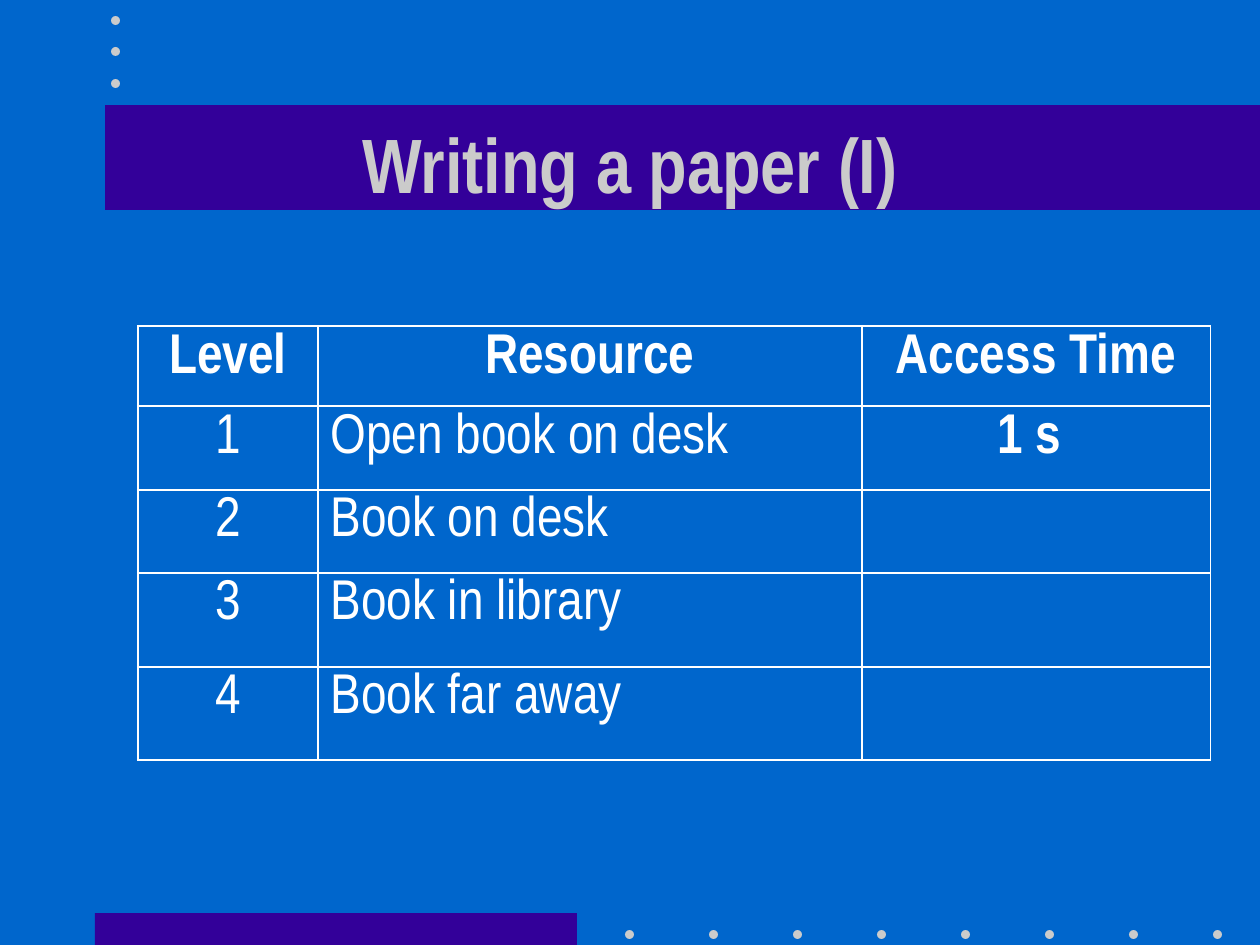
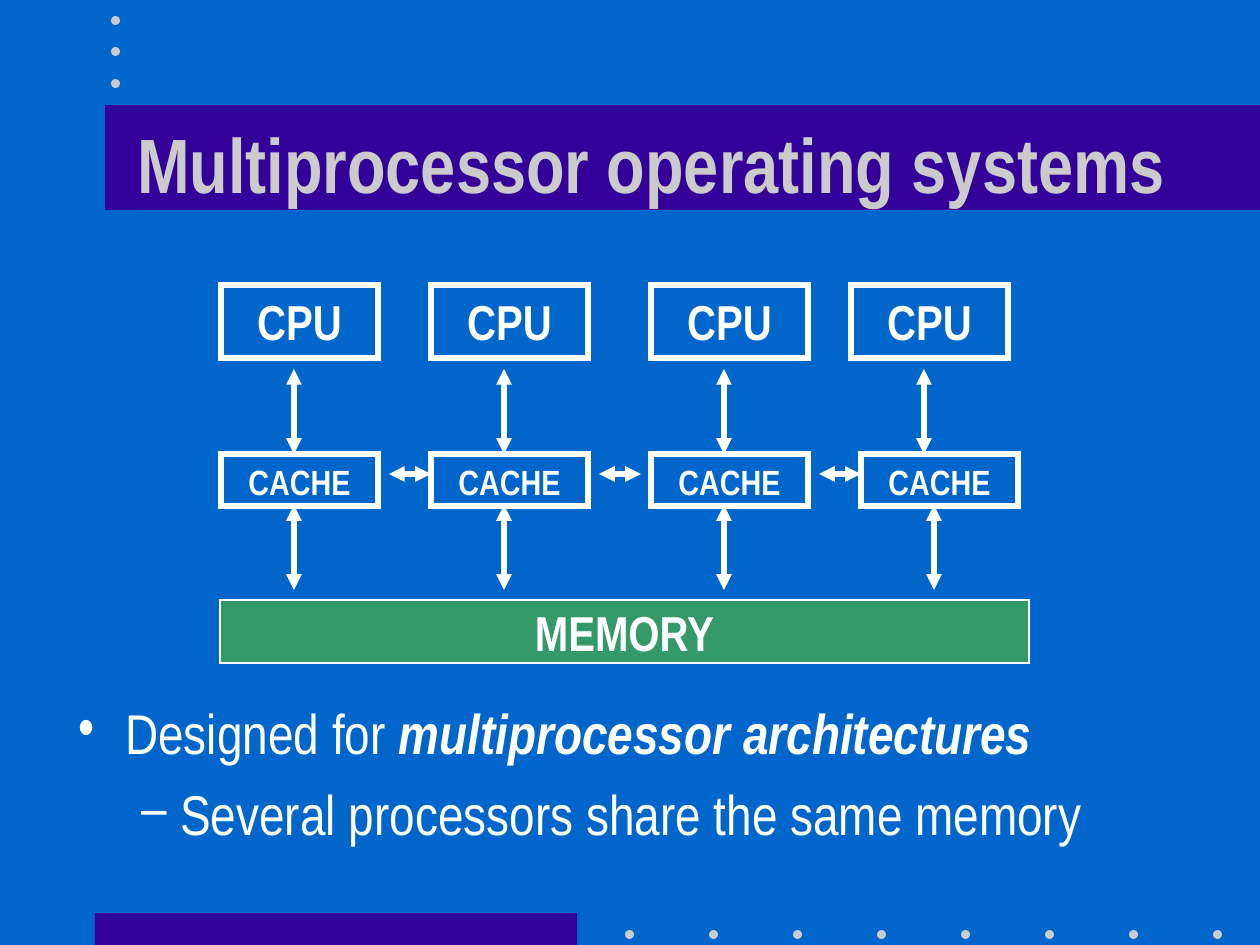
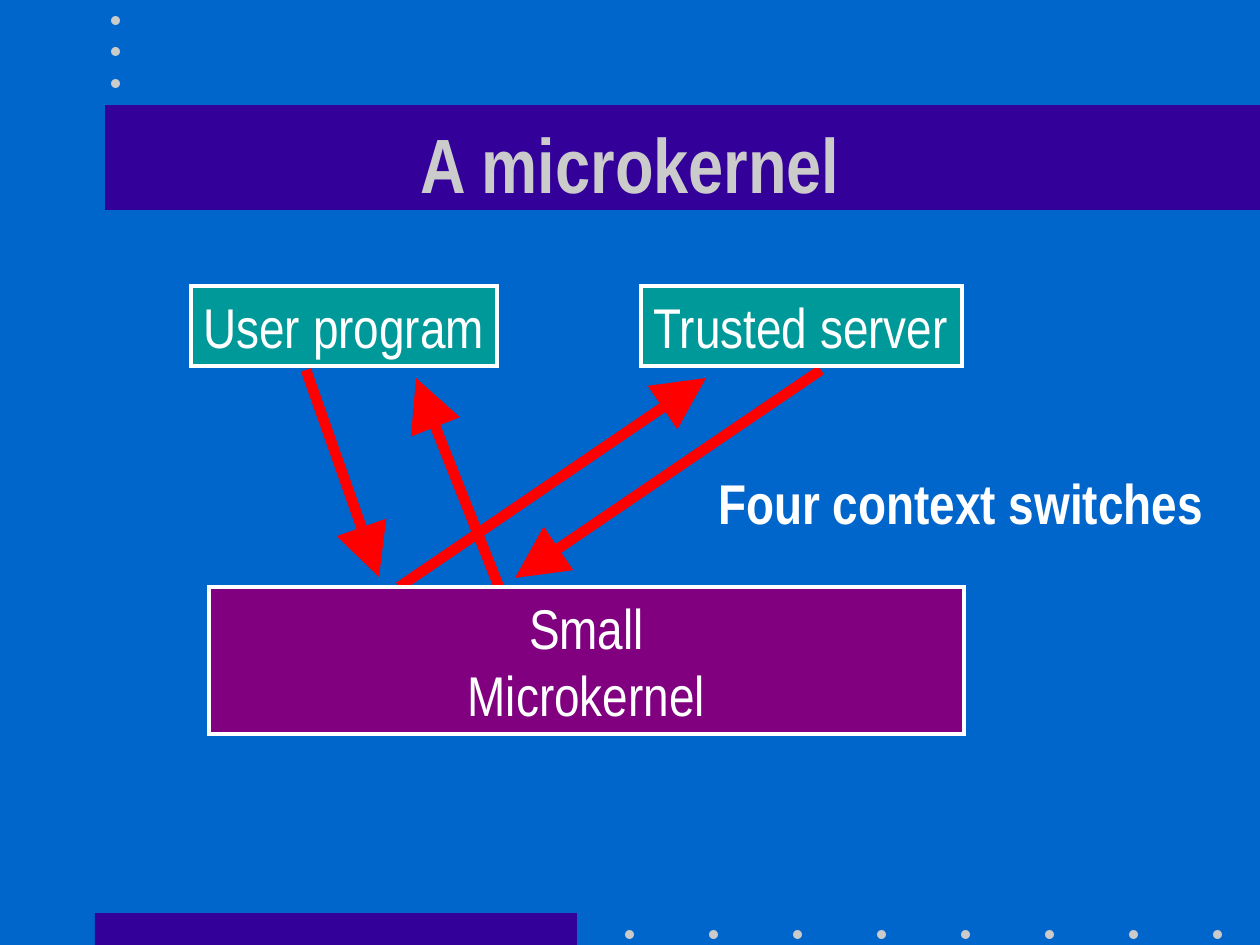
from dataclasses import dataclass
from lxml.etree import SubElement
from pptx import Presentation
from pptx.dml.color import RGBColor
from pptx.enum.shapes import MSO_CONNECTOR as Connector, MSO_SHAPE as Shape
from pptx.enum.text import MSO_ANCHOR as Anchor, PP_ALIGN as Align
from pptx.oxml.ns import qn
from pptx.util import Emu, Pt

PX_PER_INCH = 126


@dataclass(frozen=True)
class Theme:
    font: str = "Arial Narrow"
    background: str = "0066CC"
    band: str = "330099"
    soft: str = "CBCBCB"
    white: str = "FFFFFF"
    memory: str = "339966"
    process: str = "009999"
    kernel: str = "800080"
    switch: str = "FF0000"
    title_size: int = 44
    text_size: int = 32
    part_size: int = 28
    cache_size: int = 20


THEME = Theme()

# Content: Writing a paper
ACCESS_ROWS = [
    ("Level", "Resource", "Access Time"),
    ("1", "Open book on desk", "1 s "),
    ("2", "Book on desk", ""),
    ("3", "Book in library", ""),
    ("4", "Book far away", ""),
]
COLUMN_WIDTHS = (180, 544, 348)
ROW_HEIGHTS = (80, 84, 83, 94, 93)

# Content: Multiprocessor operating systems
CPU_LEFTS = (221, 431, 651, 851)
CACHE_LEFTS = (221, 431, 651, 861)
# Each bullet: sign, left margin, hanging indent, runs of (text, emphasis)
BULLETS = [
    ("•", 47, 47, [("Designed for", False), (" multiprocessor architectures", True)]),
    ("–", 102, 39, [("Several processors share the same memory", False)]),
]

# Content: A microkernel
SWITCHES = [
    ((399, 587), (706, 378)),
    ((306, 370), (379, 577)),
    ((499, 587), (416, 378)),
    ((821, 370), (515, 578)),
]
MODULES = [
    (["User program"], (191, 286, 306, 80), THEME.process, Align.LEFT),
    (["Small", "Microkernel"], (209, 587, 755, 147), THEME.kernel, Align.CENTER),
    (["Trusted server"], (641, 286, 321, 80), THEME.process, Align.LEFT),
]


def px(length):
    return Emu(round(length * 914400 / PX_PER_INCH))


def rgb(color):
    return RGBColor.from_string(color)


# Shared building blocks
def add_span(para, text, size, color=THEME.white, bold=False, italic=False):
    span = para.add_run()
    span.text = text
    font = span.font
    font.name, font.size = THEME.font, Pt(size)
    font.bold, font.italic = bold, italic
    font.color.rgb = rgb(color)


def write_lines(frame, lines, size, align=Align.CENTER, **style):
    for index, line in enumerate(lines):
        para = frame.add_paragraph() if index else frame.paragraphs[0]
        para.alignment = align
        add_span(para, line, size, **style)


def add_text_box(slide, place, anchor=Anchor.TOP):
    frame = slide.shapes.add_textbox(*map(px, place)).text_frame
    frame.word_wrap = True
    frame.vertical_anchor = anchor
    return frame


def add_box(slide, place, fill=None, line_width=0, kind=Shape.RECTANGLE):
    box = slide.shapes.add_shape(kind, *map(px, place))
    box.shadow.inherit = False
    if fill:
        box.fill.solid()
        box.fill.fore_color.rgb = rgb(fill)
    else:
        box.fill.background()
    if line_width:
        box.line.color.rgb = rgb(THEME.white)
        box.line.width = Pt(line_width)
        SubElement(box.line._get_or_add_ln(), qn("a:miter"), lim="800000")
    else:
        box.line.fill.background()
    box.text_frame.vertical_anchor = Anchor.TOP
    return box


def add_arrow(slide, start, end, color=THEME.white, width=3,
              ends=("headEnd", "tailEnd"), head_size="med"):
    arrow = slide.shapes.add_connector(Connector.STRAIGHT, *map(px, start + end))
    arrow.line.color.rgb = rgb(color)
    arrow.line.width = Pt(width)
    for end_name in ends:
        SubElement(arrow.line._get_or_add_ln(), qn(f"a:{end_name}"),
                   type="triangle", w=head_size, len=head_size)
    SubElement(arrow._element.spPr, qn("a:effectLst"))


def add_page(deck, title, title_width=1071):
    page = deck.slides.add_slide(deck.slide_layouts[6])
    page.background.fill.solid()
    page.background.fill.fore_color.rgb = rgb(THEME.background)
    # Bands and dots
    for band in ((95, 913, 482, 32), (105, 105, 1155, 105)):
        add_box(page, band, THEME.band)
    footer_dots = [(625 + 84 * step, 930) for step in range(8)]
    corner_dots = [(111, 16 + 63 * step // 2) for step in range(3)]
    for left, top in footer_dots + corner_dots:
        add_box(page, (left, top, 9, 9), THEME.soft, kind=Shape.OVAL)
    # Title
    frame = add_text_box(page, (95, 84, title_width, 158), Anchor.MIDDLE)
    write_lines(frame, [title], THEME.title_size, color=THEME.soft, bold=True)
    return page


# Writing a paper
def set_borders(cell, is_last_column):
    properties = cell._tc.get_or_add_tcPr()
    for side in ("lnL", "lnR", "lnT", "lnB"):
        width = 0.45 if side == "lnR" and is_last_column else 1.47
        border = SubElement(properties, qn(f"a:{side}"), w=str(Pt(width)))
        fill = SubElement(border, qn("a:solidFill"))
        SubElement(fill, qn("a:srgbClr"), val=THEME.white)


def build_access_table(deck):
    page = add_page(deck, "Writing a paper (I)")
    place = (138, 326, sum(COLUMN_WIDTHS), sum(ROW_HEIGHTS))
    table = page.shapes.add_table(len(ROW_HEIGHTS), len(COLUMN_WIDTHS), *map(px, place)).table
    table.first_row = table.horz_banding = False
    for column, width in zip(table.columns, COLUMN_WIDTHS):
        column.width = px(width)
    for row, height in zip(table.rows, ROW_HEIGHTS):
        row.height = px(height)
    for row_index, values in enumerate(ACCESS_ROWS):
        for column_index, value in enumerate(values):
            cell = table.cell(row_index, column_index)
            set_borders(cell, column_index == len(COLUMN_WIDTHS) - 1)
            cell.fill.background()
            if value:
                is_header = row_index == 0
                is_resource = column_index == 1 and not is_header
                write_lines(cell.text_frame, [value], THEME.text_size,
                            Align.LEFT if is_resource else Align.CENTER,
                            bold=is_header or column_index == 2)


# Multiprocessor operating systems
def build_multiprocessor(deck):
    page = add_page(deck, "Multiprocessor operating systems ", 1131)
    rows = [
        ("CPU", CPU_LEFTS, 285, 73, THEME.part_size, 369, 454),
        ("CACHE", CACHE_LEFTS, 454, 52, THEME.cache_size, 505, 590),
    ]
    for label, lefts, top, height, size, arrow_top, arrow_bottom in rows:
        for left in lefts:
            box = add_box(page, (left, top, 157, height), line_width=3)
            write_lines(box.text_frame, [label], size, bold=True)
            add_arrow(page, (left + 73, arrow_top), (left + 73, arrow_bottom))
    for left in CACHE_LEFTS[:-1]:
        add_arrow(page, (left + 168, 474), (left + 210, 474))

    memory = add_box(page, (220, 600, 809, 63), THEME.memory, 1)
    memory.text_frame.vertical_anchor = Anchor.MIDDLE
    write_lines(memory.text_frame, ["MEMORY"], THEME.part_size, bold=True)

    # Bullets
    frame = add_text_box(page, (66, 692, 1071, 188))
    for index, (sign, margin, hanging, spans) in enumerate(BULLETS):
        para = frame.add_paragraph() if index else frame.paragraphs[0]
        para.level = index
        if index:
            para.space_before = Pt(8)
        properties = para._p.get_or_add_pPr()
        properties.set("marL", str(px(margin)))
        properties.set("indent", str(px(-hanging)))
        color = SubElement(properties, qn("a:buClr"))
        SubElement(color, qn("a:srgbClr"), val=THEME.white)
        SubElement(properties, qn("a:buFont"), typeface=THEME.font)
        SubElement(properties, qn("a:buChar"), char=sign)
        for text, emphasis in spans:
            add_span(para, text, THEME.text_size, bold=emphasis, italic=emphasis)


# A microkernel
def build_microkernel(deck):
    page = add_page(deck, "A microkernel")
    for start, end in SWITCHES:
        add_arrow(page, start, end, THEME.switch, 6, ("tailEnd",), "lg")
    for lines, place, fill, align in MODULES:
        box = add_box(page, place, fill, 2.5)
        box.text_frame.word_wrap = len(lines) > 1
        write_lines(box.text_frame, lines, THEME.text_size, align)
    caption = add_text_box(page, (706, 462, 530, 81))
    write_lines(caption, ["Four context switches"], THEME.text_size, Align.LEFT, bold=True)


def main():
    deck = Presentation()
    deck.slide_width, deck.slide_height = px(1260), px(945)
    build_access_table(deck)
    build_multiprocessor(deck)
    build_microkernel(deck)
    deck.save("out.pptx")


if __name__ == "__main__":
    main()
